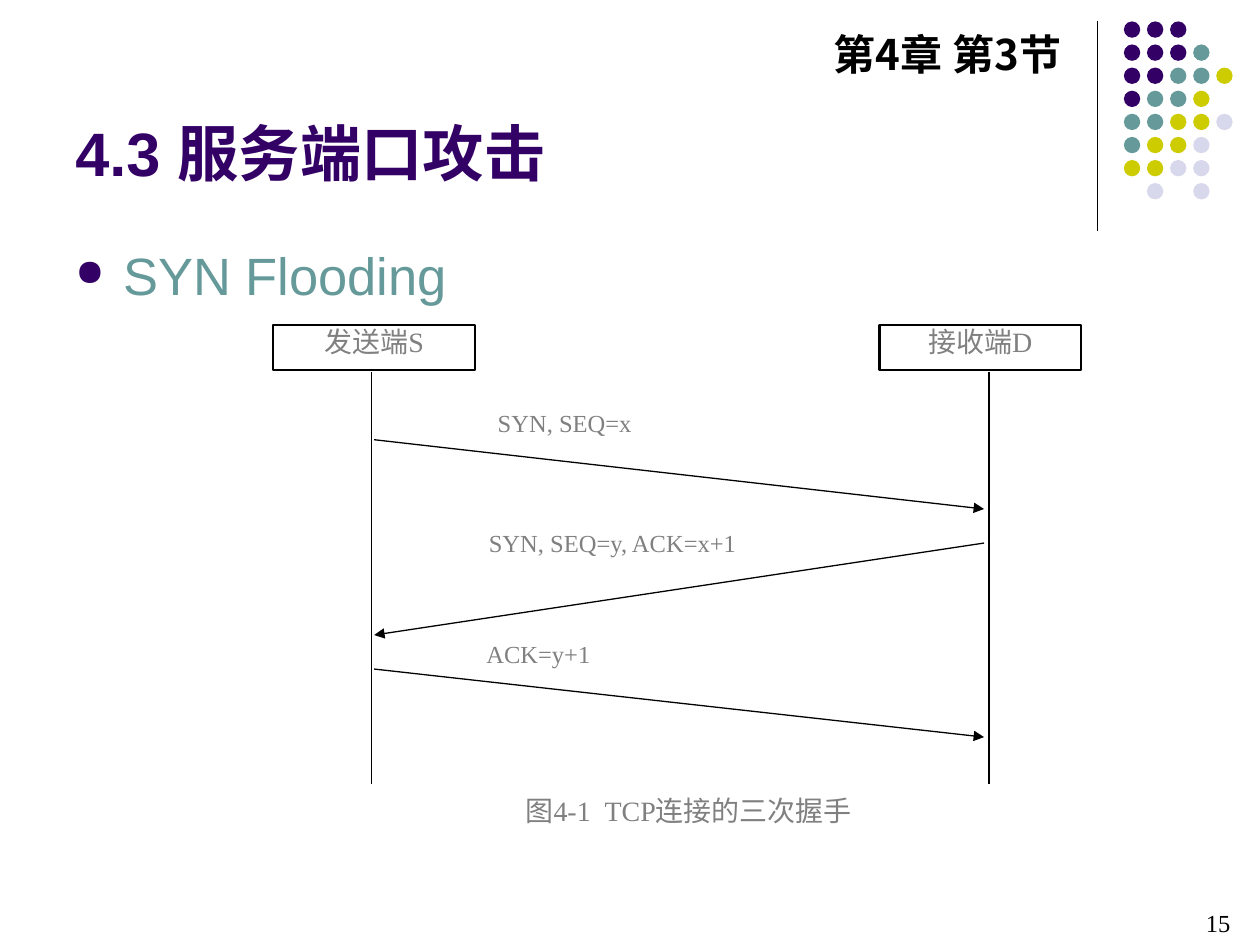
from lxml import etree
from pptx import Presentation
from pptx.dml.color import RGBColor
from pptx.enum.shapes import MSO_CONNECTOR, MSO_SHAPE
from pptx.enum.text import MSO_ANCHOR, PP_ALIGN
from pptx.oxml.ns import qn
from pptx.util import Inches, Pt

LEFT, MID, JUST = PP_ALIGN.LEFT, PP_ALIGN.CENTER, PP_ALIGN.JUSTIFY
TOP, BOTTOM = MSO_ANCHOR.TOP, MSO_ANCHOR.BOTTOM
RECT, OVAL = MSO_SHAPE.RECTANGLE, MSO_SHAPE.OVAL
STRAIGHT = MSO_CONNECTOR.STRAIGHT
SERIF, SANS, CJK = "Times New Roman", "Arial", "Noto Sans CJK SC"
BLACK, WHITE, GREY = "000000", "FFFFFF", "808080"
PURPLE, TEAL = "330066", "669999"

# Content: one letter per dot in the corner ornament
DOTS = ["PPP", "PPPT", "PPTTY", "PTTY", "TTYYL", "TYYL", "YYLL", " L L"]
HUES = {"P": PURPLE, "T": TEAL, "Y": "CCCC00", "L": "D8D8EC"}
PITCH, DOT = 0.55 / 3, 0.13

# Text, box
LABELS = [
    ("ACK=y+1", (3.86, 5.07, 1.45, 0.42)),
    ("SYN, SEQ=y, ACK=x+1", (3.88, 4.19, 3.21, 0.36)),
    ("SYN, SEQ=x", (3.95, 3.24, 1.88, 0.36)),
]
# Text, left of the box, x of the lifeline
HOSTS = [("发送端S", 2.17, 2.95), ("接收端D", 6.98, 7.85)]
CAPTION = "图4-1  TCP连接的三次握手"
# Start and end heights, and whether the message runs to the right
ARROWS = [(3.49, 4.04, True), (4.31, 5.04, False), (5.31, 5.85, True)]
SEND, RECV = 2.97, 7.81

prs = Presentation()
prs.slide_width, prs.slide_height = Inches(10), Inches(7.5)
slide = prs.slides.add_slide(prs.slide_layouts[6])
shapes = slide.shapes


def color(code):
    return RGBColor.from_string(code)


def add_line(x1, y1, x2, y2, head=False):
    line = shapes.add_connector(STRAIGHT, *map(Inches, (x1, y1, x2, y2)))
    line.line.color.rgb = color(BLACK)
    line.line.width = Pt(0.75)
    if head:
        etree.SubElement(line.line._get_or_add_ln(), qn("a:tailEnd"), type="triangle")
    etree.SubElement(line._element.spPr, qn("a:effectLst"))


def add_form(kind, box, fill, edge=None):
    form = shapes.add_shape(kind, *map(Inches, box))
    form.shadow.inherit = False
    form.fill.solid()
    form.fill.fore_color.rgb = color(fill)
    if edge:
        form.line.color.rgb = color(BLACK)
        form.line.width = Pt(edge)
    else:
        form.line.fill.background()
    return form


def add_text(text, box=None, form=None, size=14, font=SERIF, hue=GREY, bold=False,
             align=LEFT, anchor=TOP, pad=(0, 0, 0, 0), bullet=None):
    form = form or shapes.add_textbox(*map(Inches, box))
    frame = form.text_frame
    frame.word_wrap = True
    frame.vertical_anchor = anchor
    (frame.margin_left, frame.margin_top,
     frame.margin_right, frame.margin_bottom) = map(Inches, pad)
    para = frame.paragraphs[0]
    para.alignment = align
    if bullet:
        props = para._p.get_or_add_pPr()
        props.set("marL", str(Inches(0.38)))
        props.set("indent", str(-Inches(0.38)))
        tint = etree.SubElement(props, qn("a:buClr"))
        etree.SubElement(tint, qn("a:srgbClr"), val=PURPLE)
        etree.SubElement(props, qn("a:buSzPct"), val="70000")
        etree.SubElement(props, qn("a:buChar"), char=bullet)
    run = para.add_run()
    run.text = text
    run.font.size, run.font.bold, run.font.name = Pt(size), bold, font
    run.font.color.rgb = color(hue)
    etree.SubElement(run._r.get_or_add_rPr(), qn("a:ea"), typeface=CJK)


# Corner ornament
add_line(8.71, 0.17, 8.71, 1.83)
for row, marks in enumerate(DOTS):
    for col, mark in enumerate(marks):
        if mark in HUES:
            spot = (8.92 + col * PITCH, 0.17 + row * PITCH, DOT, DOT)
            add_form(OVAL, spot, HUES[mark])

# Page number, title and body
PAD = (0.1, 0.05, 0.1, 0.05)
add_text("15", (9.57, 7.21, 0.33, 0.23), hue=BLACK)
add_text("4.3 服务端口攻击", (0.5, 0.13, 8.25, 1.42), size=35, font=SANS,
         hue=PURPLE, bold=True, anchor=BOTTOM, pad=PAD)
add_text("SYN Flooding", (0.5, 1.88, 9, 1.36), size=30, font=SANS,
         hue=TEAL, pad=PAD, bullet="●")

# Handshake diagram
for text, box in LABELS:
    add_text(text, form=add_form(RECT, box, WHITE), align=JUST)
for text, left, life in HOSTS:
    host = add_form(RECT, (left, 2.58, 1.6, 0.36), WHITE, edge=1.25)
    add_text(text, form=host, size=16, align=MID)
    add_line(life, 2.95, life, 6.22)
for start, end, right in ARROWS:
    x1, x2 = (SEND, RECV) if right else (RECV, SEND)
    add_line(x1, start, x2, end, head=True)
add_text(CAPTION, form=add_form(RECT, (3.46, 6.3, 4.01, 0.36), WHITE),
         size=16, align=MID)

# Section mark
add_text("第4章 第3节", (6.52, 0.18, 2.31, 0.5), size=24, font=CJK,
         hue=BLACK, bold=True, pad=(0.1, 0.05, 0.15, 0.05))

prs.save("out.pptx")
